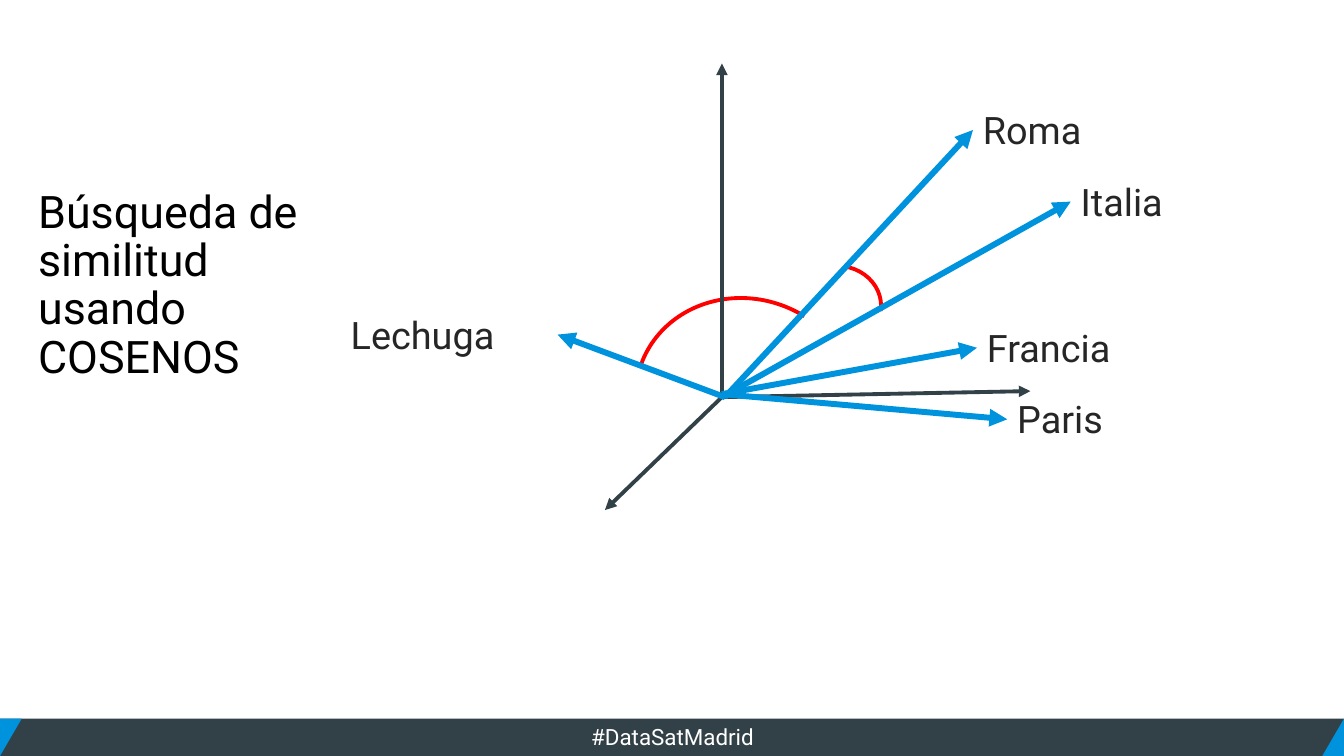
from lxml import etree
from pptx import Presentation
from pptx.dml.color import RGBColor
from pptx.enum.shapes import MSO_CONNECTOR, MSO_SHAPE
from pptx.enum.text import MSO_ANCHOR, PP_ALIGN
from pptx.oxml.ns import qn
from pptx.util import Inches, Pt

RECTANGLE, TRIANGLE, ARC = MSO_SHAPE.RECTANGLE, MSO_SHAPE.ISOSCELES_TRIANGLE, MSO_SHAPE.ARC
STRAIGHT = MSO_CONNECTOR.STRAIGHT
TOP, BOTTOM = MSO_ANCHOR.TOP, MSO_ANCHOR.BOTTOM
LEFT, CENTER = PP_ALIGN.LEFT, PP_ALIGN.CENTER

# Content
COLORS = {"slate": "324147", "blue": "0093DD", "red": "FF0000",
          "white": "FFFFFF", "black": "000000", "label": "262626"}
FONT = "Roboto"
TITLE = "Búsqueda de similitud usando COSENOS"
HASHTAG = "#DataSatMadrid"
ORIGIN = (7.16, 3.94)
AXIS_TIPS = [(7.16, 0.63), (10.22, 3.88), (6, 5.06)]
# word, start, tip, label width, label lies left of the tip
VECTORS = [
    ("Italia", ORIGIN, (10.62, 2), 1.68, False),
    ("Roma", (7.19, 3.94), (9.65, 1.29), 1.68, False),
    ("Francia", (7.16, 3.91), (9.69, 3.45), 1.68, False),
    ("Paris", (7.16, 3.91), (9.99, 4.16), 1.94, False),
    ("Lechuga", (7.19, 3.94), (5.53, 3.32), 2.15, True),
]
# place, rotation, arc adjustments
ANGLES = [
    ((6.38, 2.88, 2.04, 2.21), 288.2, (162, 9.66)),
    ((7.9, 2.64, 0.84, 0.77), 8.3, (162, 0)),
]
WIDTH, HEIGHT = 13.33, 7.5
FOOTER_HEIGHT, CORNER_WIDTH = 0.37, 0.43
LABEL_HEIGHT = 0.56


def color(name):
    return RGBColor.from_string(COLORS[name])


def add_filled(page, kind, place, fill, rotation=0):
    shape = page.shapes.add_shape(kind, *map(Inches, place))
    shape.shadow.inherit = False
    shape.fill.solid()
    shape.fill.fore_color.rgb = color(fill)
    shape.line.fill.background()
    shape.rotation = rotation


def add_angle(page, place, rotation, adjustments):
    arc = page.shapes.add_shape(ARC, *map(Inches, place))
    arc.shadow.inherit = False
    arc.fill.background()
    arc.line.color.rgb = color("red")
    arc.line.width = Pt(2.75)
    arc.rotation = rotation
    for index, value in enumerate(adjustments):
        arc.adjustments[index] = value


def add_arrow(page, start, tip, line_color, width):
    arrow = page.shapes.add_connector(STRAIGHT, *map(Inches, start + tip))
    arrow.line.color.rgb = color(line_color)
    arrow.line.width = Pt(width)
    properties = arrow.line._get_or_add_ln()
    etree.SubElement(properties, qn("a:tailEnd"), type="triangle")
    etree.SubElement(arrow._element.spPr, qn("a:effectLst"))


def add_text(page, text, place, size, text_color, align=LEFT, anchor=TOP, spacing=1.0):
    box = page.shapes.add_textbox(*map(Inches, place))
    frame = box.text_frame
    frame.word_wrap = True
    frame.vertical_anchor = anchor
    para = frame.paragraphs[0]
    para.alignment = align
    para.line_spacing = spacing
    span = para.add_run()
    span.text = text
    formats = {"name": FONT, "size": Pt(size)}
    for name, value in formats.items():
        setattr(span.font, name, value)
    span.font.color.rgb = color(text_color)


def main():
    deck = Presentation()
    deck.slide_width, deck.slide_height = Inches(WIDTH), Inches(HEIGHT)
    page = deck.slides.add_slide(deck.slide_layouts[6])

    # Footer band with a triangle centred on each slide edge
    footer_top = HEIGHT - FOOTER_HEIGHT
    add_filled(page, RECTANGLE, (0, footer_top, WIDTH, FOOTER_HEIGHT), "slate")
    add_text(page, HASHTAG, (4.51, footer_top, 4.32, FOOTER_HEIGHT), 16, "white", CENTER)
    for edge, rotation in ((WIDTH, 0), (0, 180)):
        place = (edge - CORNER_WIDTH / 2, footer_top, CORNER_WIDTH, FOOTER_HEIGHT)
        add_filled(page, TRIANGLE, place, "blue", rotation)

    # Title
    add_text(page, TITLE, (0.28, 1.25, 3.1, 2.6), 32, "black", anchor=BOTTOM, spacing=0.9)

    # Angles between vectors
    for place, rotation, adjustments in ANGLES:
        add_angle(page, place, rotation, adjustments)

    # Axes
    for tip in AXIS_TIPS:
        add_arrow(page, ORIGIN, tip, "slate", 2.75)

    # Word vectors, each with its label centred on the tip's height
    for word, start, tip, width, left_of_tip in VECTORS:
        add_arrow(page, start, tip, "blue", 4.25)
        left = tip[0] - width if left_of_tip else tip[0]
        place = (left, tip[1] - LABEL_HEIGHT / 2, width, LABEL_HEIGHT)
        add_text(page, word, place, 27, "label")

    deck.save("out.pptx")


if __name__ == "__main__":
    main()
